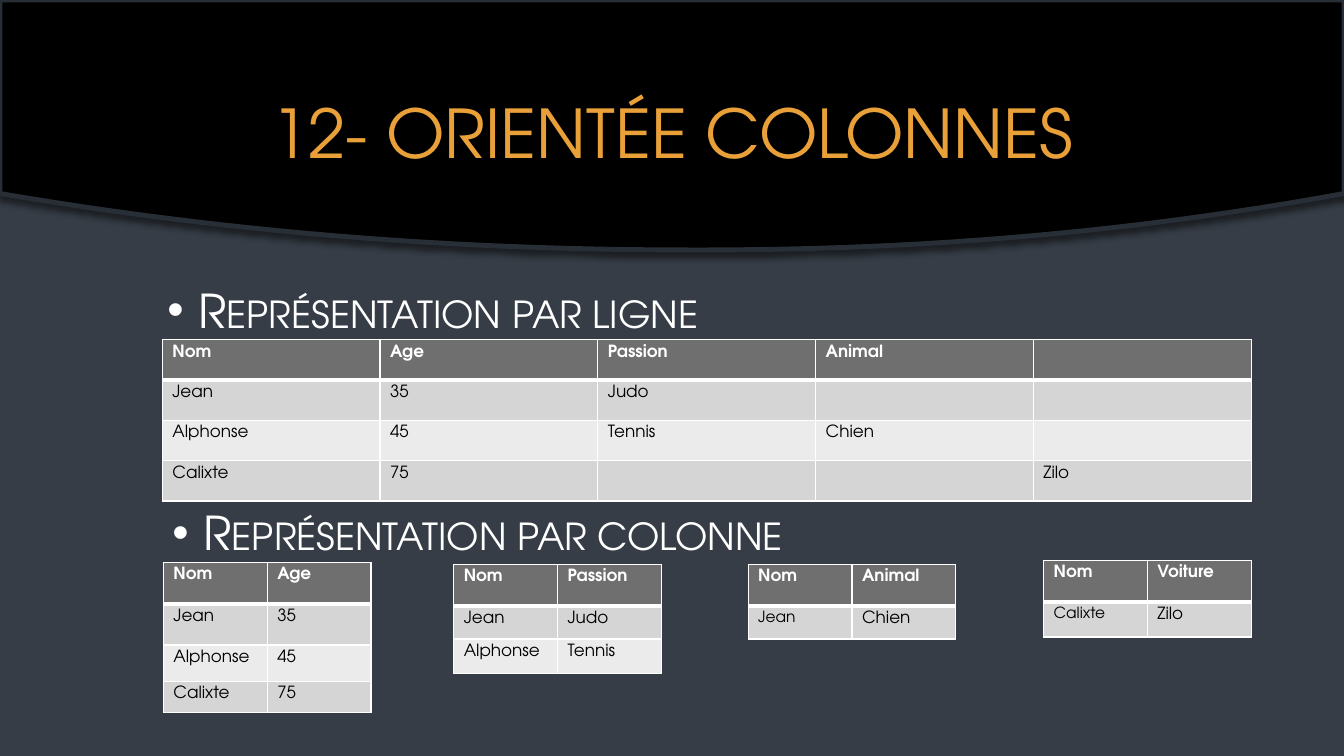
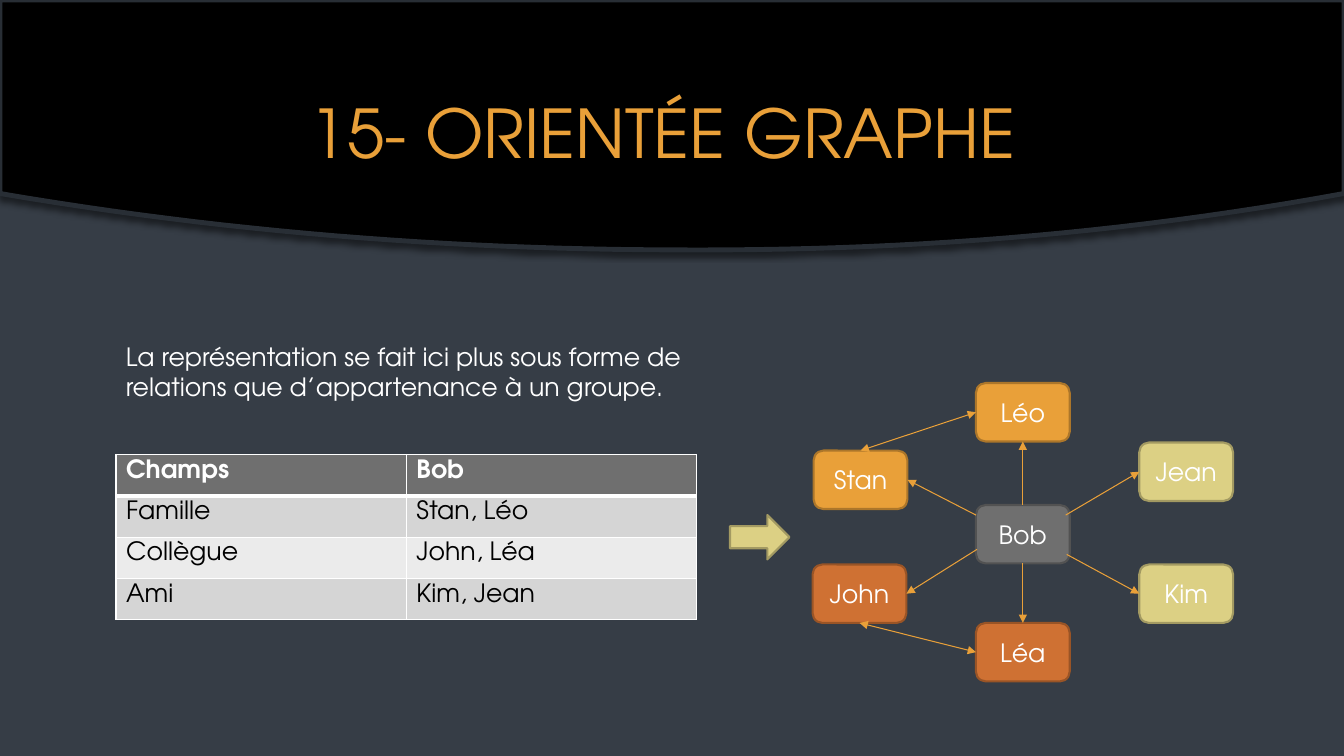
"""Build two slides on column-oriented and graph-oriented databases."""
import dataclasses
import typing

import lxml.etree
import pptx
import pptx.dml.color
import pptx.enum.shapes
import pptx.enum.text
import pptx.oxml.ns
import pptx.slide
import pptx.util

Inches = pptx.util.Inches
Pt = pptx.util.Pt
qn = pptx.oxml.ns.qn
MSO_SHAPE = pptx.enum.shapes.MSO_SHAPE
TOP, LEFT, BOTTOM, RIGHT = range(4)


@dataclasses.dataclass(frozen=True)
class Theme:
    font: str = "TeX Gyre Adventor"
    title_size: float = 48
    bullet_size: float = 33.3
    body_size: float = 18
    table_size: float = 12
    small_size: float = 11
    black: str = "000000"
    white: str = "FFFFFF"
    background: str = "363D46"
    band_line: str = "282E35"
    orange: str = "E9A039"
    orange_line: str = "AC762A"
    rust: str = "CF7133"
    rust_line: str = "995426"
    sand: str = "DCD084"
    sand_line: str = "A39A62"
    gray: str = "6F6F6F"
    gray_line: str = "525252"
    odd_row: str = "D5D5D5"
    even_row: str = "EBEBEB"


THEME = Theme()
WIDTH, HEIGHT = 13.33, 7.5


class Box(typing.NamedTuple):
    left: float
    top: float
    width: float
    height: float

    def lengths(self) -> list:
        return [Inches(value) for value in self]


@dataclasses.dataclass(frozen=True)
class Grid:
    left: float
    top: float
    column_width: float
    row_heights: tuple
    rows: tuple
    size: float = THEME.table_size
    first_column_size: float = THEME.table_size


@dataclasses.dataclass(frozen=True)
class Node:
    name: str
    left: float
    top: float
    fill: str
    line: str


@dataclasses.dataclass(frozen=True)
class Link:
    end: str
    end_side: int
    start: str = "Bob"
    start_side: int = TOP
    start_point: tuple = ()
    both_ways: bool = False


GRIDS = (
    Grid(1.61, 3.37, 2.16, (0.4,) * 4, (
        ("Nom", "Age", "Passion", "Animal", ""),
        ("Jean", "35", "Judo", "", ""),
        ("Alphonse", "45", "Tennis", "Chien", ""),
        ("Calixte", "75", "", "", "Zilo"),
    )),
    Grid(1.62, 5.58, 1.03, (0.41, 0.41, 0.36, 0.31), (
        ("Nom", "Age"), ("Jean", "35"), ("Alphonse", "45"), ("Calixte", "75"),
    )),
    Grid(4.5, 5.6, 1.03, (0.41, 0.33, 0.34), (
        ("Nom", "Passion"), ("Jean", "Judo"), ("Alphonse", "Tennis"),
    )),
    Grid(7.42, 5.6, 1.03, (0.41, 0.33), (("Nom", "Animal"), ("Jean", "Chien")),
         first_column_size=THEME.small_size),
    Grid(10.35, 5.56, 1.03, (0.41, 0.35), (("Nom", "Voiture"), ("Calixte", "Zilo")),
         first_column_size=THEME.small_size),
)
RELATIONS = Grid(1.15, 4.51, 2.88, (0.41,) * 4, (
    ("Champs", "Bob"),
    ("Famille", "Stan, Léo"),
    ("Collègue", "John, Léa"),
    ("Ami", "Kim, Jean"),
), size=THEME.body_size, first_column_size=THEME.body_size)
NODES = (
    Node("Léa", 9.68, 6.18, THEME.rust, THEME.rust_line),
    Node("Stan", 8.07, 4.47, THEME.orange, THEME.orange_line),
    Node("Jean", 11.3, 4.39, THEME.sand, THEME.sand_line),
    Node("Léo", 9.68, 3.8, THEME.orange, THEME.orange_line),
    Node("John", 8.06, 5.6, THEME.rust, THEME.rust_line),
    Node("Kim", 11.3, 5.6, THEME.sand, THEME.sand_line),
    Node("Bob", 9.68, 5.01, THEME.gray, THEME.gray_line),
)
LINKS = (
    Link("Léo", BOTTOM, start_side=TOP),
    Link("Léa", TOP, start_side=BOTTOM),
    Link("Jean", LEFT, start_point=(10.57, 5.11)),
    Link("Kim", LEFT, start_point=(10.58, 5.5)),
    Link("Stan", RIGHT, start_point=(9.68, 5.11)),
    Link("John", RIGHT, start_point=(9.69, 5.45)),
    Link("Léo", LEFT, start="Stan", start_side=TOP, both_ways=True),
    Link("Léa", LEFT, start="John", start_side=BOTTOM, both_ways=True),
)


def rgb(color: str) -> pptx.dml.color.RGBColor:
    return pptx.dml.color.RGBColor.from_string(color)


def add_run(paragraph, text: str, size: float, color: str, bold: bool = False):
    run = paragraph.add_run()
    run.text = text
    run.font.name = THEME.font
    run.font.size = Pt(size)
    run.font.bold = bold
    run.font.color.rgb = rgb(color)
    return run


def paint(shape, fill: str, line: str = "", width: float = 1.5) -> None:
    shape.shadow.inherit = False
    shape.fill.solid()
    shape.fill.fore_color.rgb = rgb(fill)
    if line:
        shape.line.color.rgb = rgb(line)
        shape.line.width = Pt(width)
    else:
        shape.line.fill.background()


def add_child(parent, tag: str, **attributes: str):
    return lxml.etree.SubElement(parent, qn(tag), attributes)


def add_solid(parent, tag: str, color: str):
    return add_child(add_child(parent, tag), "a:srgbClr", val=color)


def add_backdrop(presentation, slide: pptx.slide.Slide) -> None:
    rectangle = slide.shapes.add_shape(
        MSO_SHAPE.RECTANGLE, *Box(0, 0, WIDTH, HEIGHT).lengths())
    paint(rectangle, THEME.background)

    edge, lowest, middle, steps = 1.92, 2.48, 6.9, 48
    curve = []
    for step in range(steps + 1):
        x = WIDTH * (1 - step / steps)
        reach = WIDTH - middle if x > middle else middle
        y = lowest - (lowest - edge) * (abs(x - middle) / reach) ** 2.1
        curve.append((Inches(x), Inches(y)))
    builder = slide.shapes.build_freeform(0, 0, scale=1.0)
    builder.add_line_segments([(Inches(WIDTH), 0), *curve], close=True)
    band = builder.convert_to_shape()
    paint(band, THEME.black, THEME.band_line, 3.5)
    effects = band.element.spPr.find(qn("a:effectLst"))
    shadow = add_child(effects, "a:outerShdw", blurRad=str(Pt(4)), dist=str(Pt(3)),
                       dir="5400000", algn="t", rotWithShape="0")
    add_child(add_child(shadow, "a:srgbClr", val=THEME.black), "a:alpha", val="50000")

    master_tree = presentation.slide_master.shapes.element
    for position, shape in enumerate((rectangle, band), start=2):
        master_tree.insert(position, shape.element)


def place_text(shape, box: Box):
    shape.left, shape.top, shape.width, shape.height = box.lengths()
    frame = shape.text_frame
    frame.word_wrap = True
    frame.auto_size = pptx.enum.text.MSO_AUTO_SIZE.NONE
    frame.vertical_anchor = pptx.enum.text.MSO_ANCHOR.MIDDLE
    return frame.paragraphs[0]


def add_title(slide: pptx.slide.Slide, text: str) -> None:
    paragraph = place_text(slide.shapes.title, Box(1.25, 0.67, 10.83, 1.28))
    paragraph.alignment = pptx.enum.text.PP_ALIGN.CENTER
    add_run(paragraph, text, THEME.title_size, THEME.orange)


def add_bullet(placeholder, text: str, box: Box) -> None:
    paragraph = place_text(placeholder, box)
    paragraph.space_after = Pt(6)
    run = add_run(paragraph, text, THEME.bullet_size, THEME.white)
    run.font._element.set("cap", "small")
    properties = paragraph._p.get_or_add_pPr()
    properties.set("marL", str(Inches(0.31)))
    properties.set("indent", str(-Inches(0.31)))
    add_solid(properties, "a:buClr", THEME.white)
    add_child(properties, "a:buChar", char="•")


def add_borders(cell, row: int) -> None:
    properties = cell._tc.get_or_add_tcPr()
    widths = {"L": 1, "R": 1, "T": 3 if row == 1 else 1, "B": 3 if row == 0 else 1}
    for side, width in widths.items():
        line = add_child(properties, f"a:ln{side}", w=str(Pt(width)))
        add_solid(line, "a:solidFill", THEME.white)


def add_grid(slide: pptx.slide.Slide, grid: Grid) -> None:
    columns = len(grid.rows[0])
    box = Box(grid.left, grid.top, columns * grid.column_width, sum(grid.row_heights))
    table = slide.shapes.add_table(len(grid.rows), columns, *box.lengths()).table
    for column in table.columns:
        column.width = Inches(grid.column_width)
    for row, texts in enumerate(grid.rows):
        table.rows[row].height = Inches(grid.row_heights[row])
        header = row == 0
        fill = THEME.gray if header else THEME.odd_row if row % 2 else THEME.even_row
        for column, text in enumerate(texts):
            cell = table.cell(row, column)
            cell.margin_top = cell.margin_bottom = Inches(0.05)
            add_borders(cell, row)
            cell.fill.solid()
            cell.fill.fore_color.rgb = rgb(fill)
            paragraph = cell.text_frame.paragraphs[0]
            if text:
                first = column == 0 and not header
                add_run(paragraph, text,
                        grid.first_column_size if first else grid.size,
                        THEME.white if header else THEME.black, header)
            else:
                paragraph.font.size = Pt(grid.size)


def add_node(slide: pptx.slide.Slide, node: Node):
    box = Box(node.left, node.top, 0.93, 0.58)
    shape = slide.shapes.add_shape(MSO_SHAPE.ROUNDED_RECTANGLE, *box.lengths())
    paint(shape, node.fill, node.line)
    paragraph = place_text(shape, box)
    paragraph.alignment = pptx.enum.text.PP_ALIGN.CENTER
    add_run(paragraph, node.name, THEME.body_size, THEME.white)
    return shape


def add_link(slide: pptx.slide.Slide, link: Link, nodes: dict) -> None:
    start = [Inches(value) for value in link.start_point or (0, 0)]
    connector = slide.shapes.add_connector(
        pptx.enum.shapes.MSO_CONNECTOR.STRAIGHT, *start, *start)
    if not link.start_point:
        connector.begin_connect(nodes[link.start], link.start_side)
    connector.end_connect(nodes[link.end], link.end_side)
    connector.line.color.rgb = rgb(THEME.orange)
    connector.line.width = Pt(0.75)
    properties = connector.element.spPr
    line = properties.find(qn("a:ln"))
    if link.both_ways:
        add_child(line, "a:headEnd", type="triangle")
    add_child(line, "a:tailEnd", type="triangle")
    add_child(properties, "a:effectLst")


def fill_columns_slide(slide: pptx.slide.Slide) -> None:
    add_title(slide, "12- ORIENTÉE COLONNES")
    by_row, by_column = list(slide.placeholders)[1:]
    add_bullet(by_row, "Représentation par ligne", Box(1.56, 2.77, 10.83, 0.6))
    add_bullet(by_column, "Représentation par colonne", Box(1.61, 4.98, 9.76, 0.6))
    for grid in GRIDS:
        add_grid(slide, grid)


def fill_graph_slide(slide: pptx.slide.Slide) -> None:
    add_title(slide, "15- ORIENTÉE GRAPHE ")
    box = Box(1.15, 3.33, 6.21, 0.71)
    paragraph = place_text(slide.shapes.add_textbox(*box.lengths()), box)
    add_run(paragraph, "La représentation se fait ici plus sous forme de relations "
            "que d’appartenance à un groupe.", THEME.body_size, THEME.white)
    add_grid(slide, RELATIONS)
    arrow = slide.shapes.add_shape(
        MSO_SHAPE.RIGHT_ARROW, *Box(7.24, 5.11, 0.59, 0.44).lengths())
    paint(arrow, THEME.sand, THEME.sand_line)
    nodes = {node.name: add_node(slide, node) for node in NODES}
    for link in LINKS:
        add_link(slide, link, nodes)


def main() -> None:
    presentation = pptx.Presentation()
    presentation.slide_width, presentation.slide_height = Inches(WIDTH), Inches(HEIGHT)
    layouts = presentation.slide_layouts
    columns_slide = presentation.slides.add_slide(layouts.get_by_name("Two Content"))
    graph_slide = presentation.slides.add_slide(layouts.get_by_name("Title Only"))
    add_backdrop(presentation, columns_slide)
    fill_columns_slide(columns_slide)
    fill_graph_slide(graph_slide)
    presentation.save("out.pptx")


if __name__ == "__main__":
    main()
